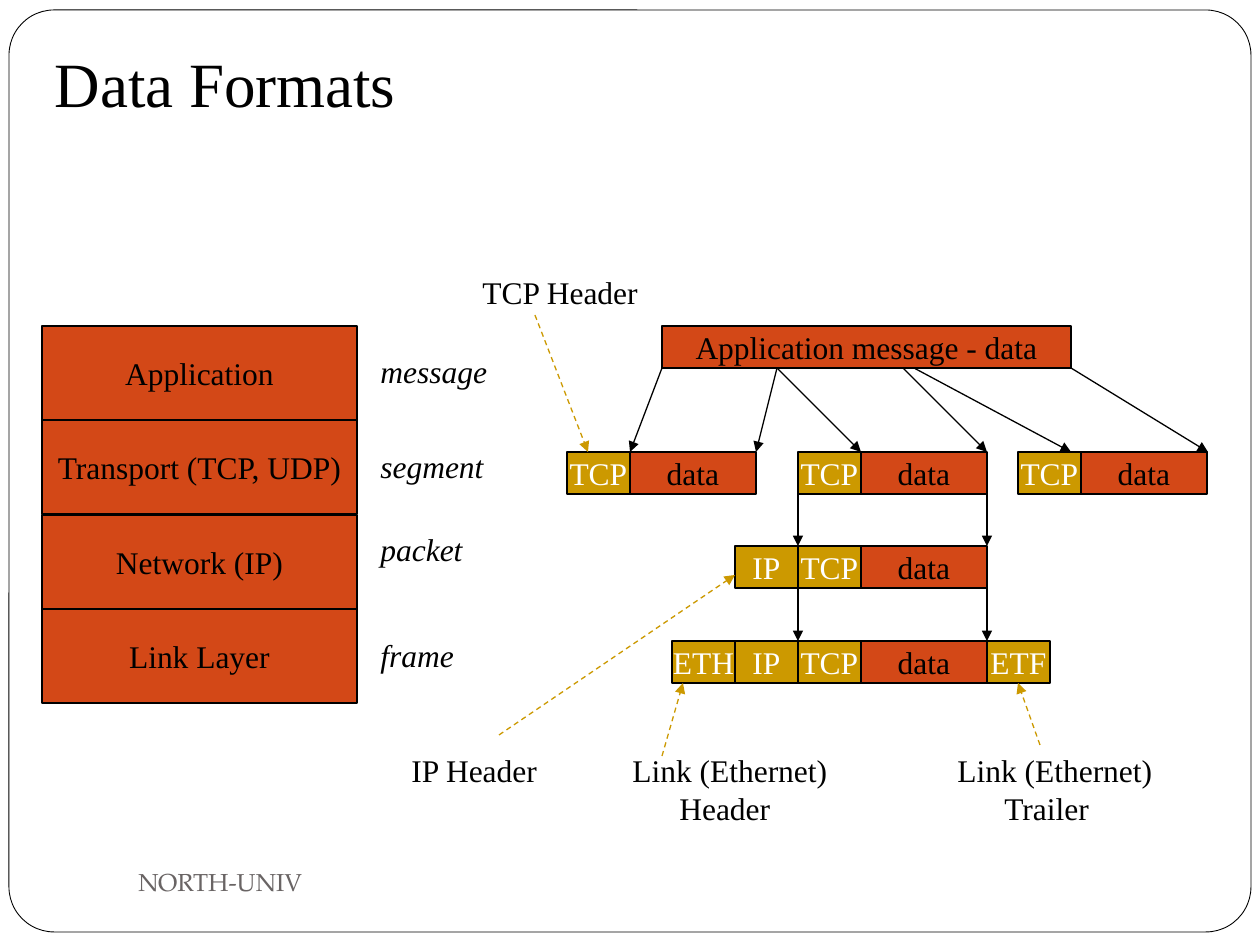
from dataclasses import dataclass

from lxml import etree
from pptx import Presentation, util as u
from pptx.dml.color import RGBColor
from pptx.enum import dml, shapes, text
from pptx.oxml import ns

EMU_PER_PIXEL = 914400 / 126
ROW_HEIGHT, HEADER_WIDTH, DATA_WIDTH = 42, 63, 126
MESSAGE_TOP, SEGMENT_TOP, PACKET_TOP, FRAME_TOP = 326, 452, 546, 641


@dataclass(frozen=True)
class Theme:
    """Colours, fonts and type sizes of the slide."""
    ink: str = "000000"
    paper: str = "FFFFFF"
    data: str = "D34817"
    header: str = "CC9900"
    muted: str = "696464"
    font: str = "Times New Roman"
    footer_font: str = "TeX Gyre Pagella"
    title_size: int = 36
    body_size: int = 18
    footer_size: int = 14
    thin: float = 0.5
    line: float = 0.75


THEME = Theme()


def px(*lengths):
    """Turn pixel lengths into EMU."""
    return [u.Emu(round(length * EMU_PER_PIXEL)) for length in lengths]


def rgb(colour):
    """Turn a hex string into a colour."""
    return RGBColor.from_string(colour)


def add_run(para, words, size=THEME.body_size, colour=THEME.ink,
            font=THEME.font, italic=None):
    """Append one formatted run to a paragraph."""
    span = para.add_run()
    span.text = words
    span.font.size = u.Pt(size)
    span.font.name = font
    span.font.italic = italic
    span.font.color.rgb = rgb(colour)


def add_title(page, words):
    """Place and fill the title placeholder."""
    title = page.shapes.title
    title.left, title.top, title.width, title.height = px(42, 42, 1071, 91)
    frame = title.text_frame
    frame.auto_size = text.MSO_AUTO_SIZE.NONE
    frame.vertical_anchor = text.MSO_ANCHOR.BOTTOM
    frame.margin_bottom = u.Inches(0.1)
    para = frame.paragraphs[0]
    para.alignment = text.PP_ALIGN.LEFT
    add_run(para, words, THEME.title_size)


def add_outline(page, kind, bounds, fill, width):
    """Add a filled shape with a dark outline."""
    shape = page.shapes.add_shape(kind, *px(*bounds))
    shape.shadow.inherit = False
    shape.fill.solid()
    shape.fill.fore_color.rgb = rgb(fill)
    shape.line.color.rgb = rgb(THEME.ink)
    shape.line.width = u.Pt(width)
    return shape


def add_border(page):
    """Add the rounded page border behind everything else."""
    border = add_outline(page, shapes.MSO_SHAPE.ROUNDED_RECTANGLE,
                         (9, 10, 1242, 922), THEME.paper, THEME.thin)
    border.adjustments[0] = 0.049
    page.shapes.title.element.addprevious(border.element)


def add_box(page, bounds, words, fill=THEME.data, colour=THEME.ink):
    """Add a rectangle with centred text."""
    box = add_outline(page, shapes.MSO_SHAPE.RECTANGLE, bounds, fill, THEME.line)
    box.text_frame.word_wrap = False
    box.text_frame.vertical_anchor = text.MSO_ANCHOR.MIDDLE
    para = box.text_frame.paragraphs[0]
    para.alignment = text.PP_ALIGN.CENTER
    add_run(para, words, colour=colour)


def add_unit(page, left, top, names):
    """Add a row of adjoining header and data fields."""
    for name in names.split():
        if name == "data":
            add_box(page, (left, top, DATA_WIDTH, ROW_HEIGHT), name)
            left += DATA_WIDTH
        else:
            add_box(page, (left, top, HEADER_WIDTH, ROW_HEIGHT), name,
                    THEME.header, THEME.paper)
            left += HEADER_WIDTH


def add_label(page, bounds, *lines, italic=None):
    """Add a free label; lines after the first are indented."""
    box = page.shapes.add_textbox(*px(*bounds))
    frame = box.text_frame
    frame.word_wrap = False
    frame.auto_size = text.MSO_AUTO_SIZE.SHAPE_TO_FIT_TEXT
    for index, line in enumerate(lines):
        para = frame.add_paragraph() if index else frame.paragraphs[0]
        if index:
            para._p.get_or_add_pPr().set("marL", str(px(47)[0]))
        add_run(para, line, italic=italic)


def add_arrow(page, start, end, colour=THEME.ink, dashed=False):
    """Add a straight arrow that points at its end."""
    arrow = page.shapes.add_connector(shapes.MSO_CONNECTOR.STRAIGHT,
                                      *px(*start, *end))
    arrow.line.color.rgb = rgb(colour)
    arrow.line.width = u.Pt(THEME.line)
    if dashed:
        arrow.line.dash_style = dml.MSO_LINE.DASH
    etree.SubElement(arrow.line._get_or_add_ln(), ns.qn("a:tailEnd"),
                     type="triangle")
    etree.SubElement(arrow.element.spPr, ns.qn("a:effectLst"))


def add_footer(page, words):
    """Add the footer line."""
    box = page.shapes.add_textbox(*px(126, 850, 546, 63))
    box.text_frame.word_wrap = True
    box.text_frame.vertical_anchor = text.MSO_ANCHOR.MIDDLE
    add_run(box.text_frame.paragraphs[0], words, THEME.footer_size,
            THEME.muted, THEME.footer_font)


def add_layers(page):
    """Add the protocol stack and the name of each layer's unit."""
    layers = [("Application", "message", 346, 134),
              ("Transport (TCP, UDP)", "segment", 441, 137),
              ("Network (IP)", "packet", 524, 108),
              ("Link Layer", "frame", 630, 100)]
    for index, (layer, unit, top, width) in enumerate(layers):
        layer_top = MESSAGE_TOP + index * 189 // 2
        add_box(page, (42, layer_top, 315, 94), layer)
        add_label(page, (368, top, width, 50), unit, italic=True)


def add_units(page):
    """Add the message, its segments, the packet and the frame."""
    add_box(page, (662, MESSAGE_TOP, 409, ROW_HEIGHT), "Application message - data")
    for left in (567, 798, 1018):
        add_unit(page, left, SEGMENT_TOP, "TCP data")
    add_unit(page, 735, PACKET_TOP, "IP TCP data")
    add_unit(page, 672, FRAME_TOP, "ETH IP TCP data ETF")


def add_flows(page):
    """Add the arrows from each unit to the one below."""
    splits = [(662, 630), (777, 756), (777, 861), (903, 987), (914, 1071), (1071, 1208)]
    for start, end in splits:
        add_arrow(page, (start, MESSAGE_TOP + ROW_HEIGHT), (end, SEGMENT_TOP))
    for top, bottom in ((SEGMENT_TOP, PACKET_TOP), (PACKET_TOP, FRAME_TOP)):
        for left in (798, 987):
            add_arrow(page, (left, top + ROW_HEIGHT), (left, bottom))


def add_callouts(page):
    """Add the header and trailer labels with their dashed arrows."""
    callouts = [((470, 267, 183, 50), ["TCP Header"], (535, 315), (588, 452)),
                ((399, 745, 152, 50), ["IP Header"], (499, 735), (735, 575)),
                ((620, 745, 223, 89), ["Link (Ethernet)", "Header"], (662, 756), (683, 683)),
                ((945, 745, 223, 89), ["Link (Ethernet)", "Trailer"], (1040, 745), (1018, 683))]
    for bounds, lines, start, end in callouts:
        add_label(page, bounds, *lines)
        add_arrow(page, start, end, THEME.header, dashed=True)


def main():
    """Build and save the slide."""
    deck = Presentation()
    deck.slide_width, deck.slide_height = px(1260, 945)
    page = deck.slides.add_slide(deck.slide_layouts[5])
    add_title(page, "Data Formats")
    add_border(page)
    add_layers(page)
    add_units(page)
    add_flows(page)
    add_callouts(page)
    add_footer(page, "NORTH-UNIV")
    deck.save("out.pptx")


main()
